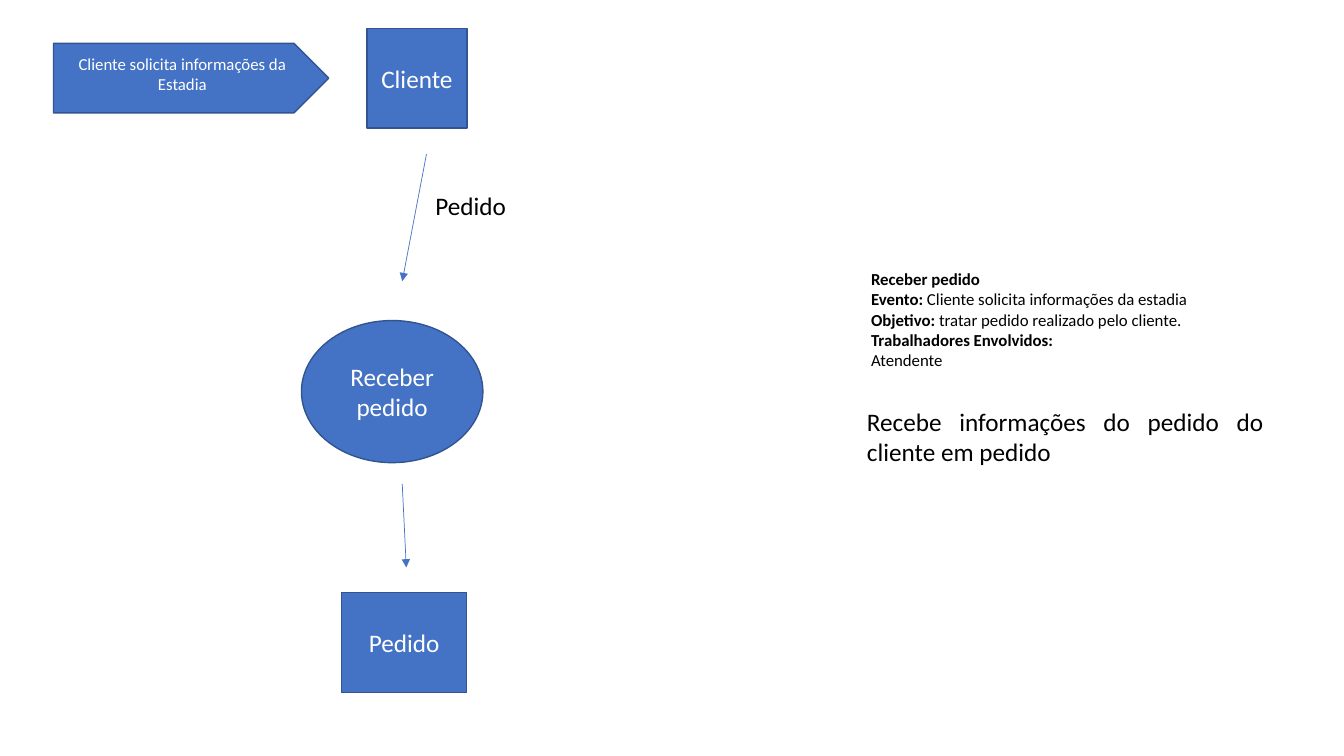
from lxml import etree
from pptx import Presentation
from pptx import util as u
from pptx.dml.color import RGBColor
from pptx.enum import shapes, text
from pptx.oxml.ns import qn

WIDTH, HEIGHT = u.Inches(13.33), u.Inches(7.5)
FONT = "Calibri"
COLORS = {"fill": "4472C4", "outline": "325491", "light": "FFFFFF", "dark": "000000"}
ALIGN = text.PP_ALIGN


def color(name):
    return RGBColor.from_string(COLORS[name])


def across(percent):
    return round(WIDTH * percent / 100)


def down(percent):
    return round(HEIGHT * percent / 100)


def area(left, top, width, height):
    """Turn percentages of the slide into a position and a size."""
    return across(left), down(top), across(width), down(height)


def write(frame, lines, size, font_color, align):
    """Write lines; each is a pair of bold lead and plain remainder."""
    frame.word_wrap = True
    for index, parts in enumerate(lines):
        paragraph = frame.paragraphs[0] if index == 0 else frame.add_paragraph()
        paragraph.alignment = align
        paragraph.font.name = FONT
        paragraph.font.size = u.Pt(size)
        paragraph.font.color.rgb = color(font_color)
        for part, bold in zip(parts, (True, False)):
            if part:
                run = paragraph.add_run()
                run.text = part
                run.font.bold = bold


def add_step(slide, kind, place, label, size=18):
    step = slide.shapes.add_shape(kind, *area(*place))
    step.shadow.inherit = False
    step.fill.solid()
    step.fill.fore_color.rgb = color("fill")
    step.line.color.rgb = color("outline")
    step.line.width = u.Pt(1)
    step.text_frame.vertical_anchor = text.MSO_ANCHOR.MIDDLE
    write(step.text_frame, [("", label)], size, "light", ALIGN.CENTER)
    return step


def add_arrow(slide, start, end):
    arrow = slide.shapes.add_connector(
        shapes.MSO_CONNECTOR.STRAIGHT,
        across(start[0]), down(start[1]), across(end[0]), down(end[1]))
    arrow.line.color.rgb = color("fill")
    arrow.line.width = u.Pt(0.5)
    etree.SubElement(arrow.line._get_or_add_ln(), qn("a:tailEnd"), type="triangle")
    etree.SubElement(arrow._element.spPr, qn("a:effectLst"))


def add_note(slide, place, lines, size=18, align=ALIGN.JUSTIFY):
    note = slide.shapes.add_textbox(*area(*place))
    write(note.text_frame, lines, size, "dark", align)
    note.text_frame.auto_size = text.MSO_AUTO_SIZE.SHAPE_TO_FIT_TEXT


def main():
    deck = Presentation()
    deck.slide_width, deck.slide_height = WIDTH, HEIGHT
    slide = deck.slides.add_slide(deck.slide_layouts[6])
    kinds = shapes.MSO_SHAPE

    # Flow of the request
    add_step(slide, kinds.RECTANGLE, (27.31, 3.73, 7.43, 13.2), "Cliente")
    add_step(slide, kinds.OVAL, (22.43, 42.4, 13.5, 18.8), "Receber pedido")
    event = add_step(slide, kinds.PENTAGON, (3.98, 5.73, 20.48, 9.2),
                     "Cliente solicita informações da Estadia", 12)
    event.text_frame.margin_bottom = u.Inches(0.13)
    add_step(slide, kinds.RECTANGLE, (25.43, 78.4, 9.3, 13.2), "Pedido")

    # Arrows between the steps
    add_arrow(slide, (31.73, 20.4), (29.93, 37.2))
    add_arrow(slide, (29.93, 64), (30.23, 75.07))

    # Description and labels
    add_note(slide, (64.07, 34.93, 29.71, 14.8), [
        ("Receber pedido", ""),
        ("Evento:", " Cliente solicita informações da estadia"),
        ("Objetivo:", "\u00a0tratar pedido realizado pelo cliente."),
        ("Trabalhadores Envolvidos:", ""),
        ("", "Atendente"),
    ], size=12)
    add_note(slide, (31.66, 24.53, 14.63, 5.33), [("", "Pedido")], align=ALIGN.LEFT)
    add_note(slide, (63.77, 53.07, 30.98, 13.47),
             [("", "Recebe informações do pedido do cliente em pedido")])

    deck.save("out.pptx")


main()
